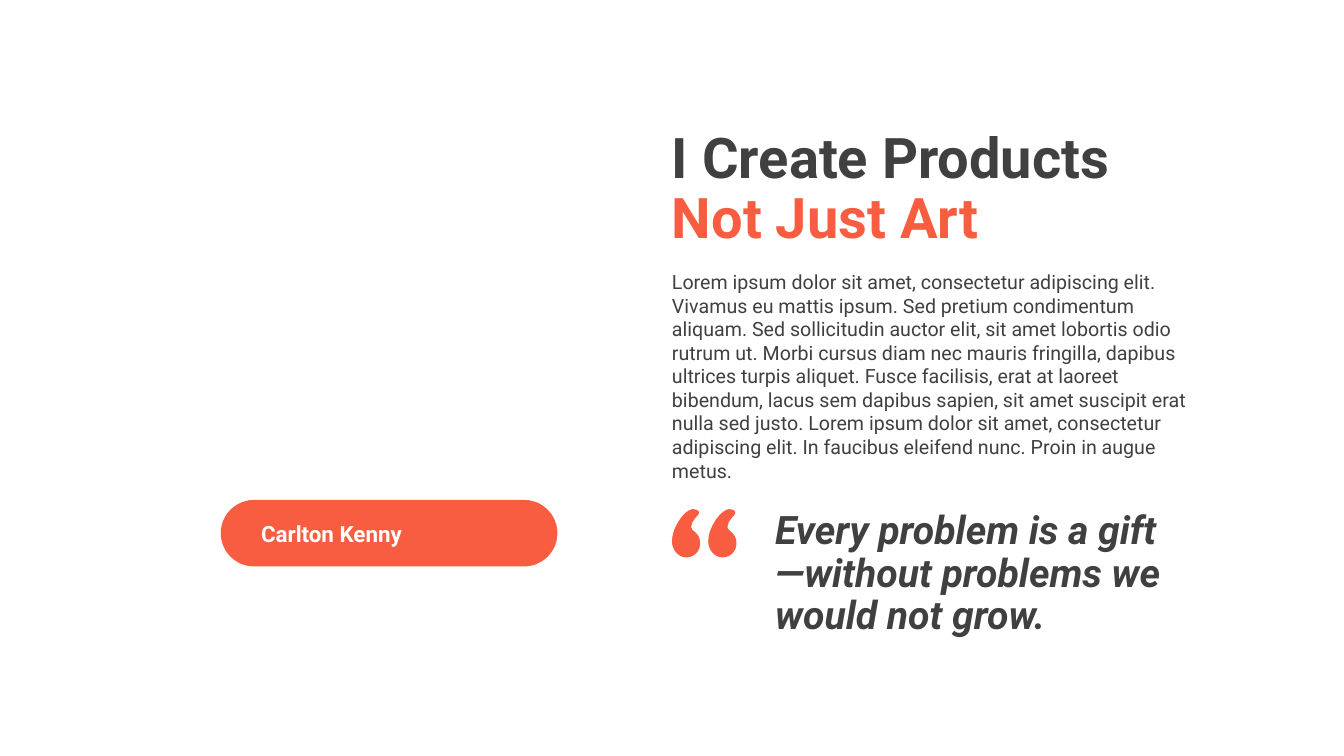
from dataclasses import dataclass

from lxml.etree import SubElement
from pptx import Presentation
from pptx.dml.color import RGBColor as Color
from pptx.enum.shapes import MSO_SHAPE as Shape
from pptx.enum.text import MSO_ANCHOR as Anchor, MSO_AUTO_SIZE as Fit, PP_ALIGN as Align
from pptx.oxml.ns import qn
from pptx.util import Inches, Pt


@dataclass(frozen=True)
class Theme:
    font: str = "Roboto"
    dark: str = "3F403F"
    coral: str = "F95D41"
    white: str = "FFFFFF"
    title: int = 40
    quote: int = 28
    name: int = 16
    body: int = 14


THEME = Theme()
WIDTH = 40 / 3
LEFT = WIDTH / 2
GAP = 0.36
BODY = (
    "Lorem ipsum dolor sit amet, consectetur adipiscing elit. Vivamus eu mattis ipsum. "
    "Sed pretium condimentum aliquam. Sed sollicitudin auctor elit, sit amet lobortis odio "
    "rutrum ut. Morbi cursus diam nec mauris fringilla, dapibus ultrices turpis aliquet. "
    "Fusce facilisis, erat at laoreet bibendum, lacus sem dapibus sapien, sit amet suscipit "
    "erat nulla sed justo. Lorem ipsum dolor sit amet, consectetur adipiscing elit. "
    "In faucibus eleifend nunc. Proin in augue metus."
)
QUOTE = "Every problem is a gift—without problems we would not grow."
START = (0.21, 5.05)
CURVES = [
    (0.23, 5.05), (0.27, 5.06), (0.27, 5.09),
    (0.27, 5.11), (0.19, 5.16), (0.19, 5.23),
    (0.19, 5.27), (0.28, 5.28), (0.28, 5.39),
    (0.28, 5.47), (0.22, 5.53), (0.14, 5.53),
    (0.06, 5.53), (0, 5.45), (0, 5.37),
    (0, 5.23), (0.13, 5.05), START,
]


def place(shape, left, top, width, height):
    shape.left, shape.top = Inches(left), Inches(top)
    shape.width, shape.height = Inches(width), Inches(height)


def add_run(para, text, size, color, bold=False, slant=False):
    run = para.add_run()
    run.text = text
    font = run.font
    font.name, font.size = THEME.font, Pt(size)
    font.bold, font.italic = bold, slant
    font.color.rgb = Color.from_string(color)


def set_frame(shape, anchor=Anchor.TOP, lead=1.0):
    frame = shape.text_frame
    frame.word_wrap = True
    frame.auto_size = Fit.NONE
    frame.vertical_anchor = anchor
    frame.margin_left = frame.margin_right = 0
    frame.margin_top = frame.margin_bottom = 0
    para = frame.paragraphs[0]
    para.alignment = Align.LEFT
    para.line_spacing = lead
    para.space_before = Pt(0)
    return para


def add_text(slide, box, text, size, color, anchor=Anchor.TOP, lead=1.0, slant=False):
    shape = slide.shapes.add_textbox(*map(Inches, box))
    add_run(set_frame(shape, anchor, lead), text, size, color, True, slant)


def paint(shape, color):
    shape.shadow.inherit = False
    shape.fill.solid()
    shape.fill.fore_color.rgb = Color.from_string(color)
    shape.line.fill.background()


def fill_title(slide):
    title = slide.shapes.title
    place(title, LEFT, 1.26, 5.28, 1.23)
    para = set_frame(title, Anchor.BOTTOM, 0.9)
    add_run(para, "I Create Products ", THEME.title, THEME.dark, True)
    para.add_line_break()
    add_run(para, "Not Just Art", THEME.title, THEME.coral, True)


def fill_body(slide):
    body = slide.placeholders[1]
    place(body, LEFT, 2.68, 5.29, 1.86)
    para = set_frame(body)
    props = para._p.get_or_add_pPr()
    props.set("marL", "0")
    props.set("indent", "0")
    SubElement(props, qn("a:buNone"))
    add_run(para, BODY, THEME.body, THEME.dark)


def curve(shape):
    lines = list(shape._element.iter(qn("a:lnTo")))
    for one, two, end in zip(lines[::3], lines[1::3], lines[2::3]):
        bend = one.makeelement(qn("a:cubicBezTo"))
        one.addprevious(bend)
        for line in (one, two, end):
            bend.append(line[0])
            line.getparent().remove(line)


def add_marks(slide):
    pen = slide.shapes.build_freeform(Inches(LEFT + START[0]), Inches(START[1]))
    for left in (LEFT, LEFT + GAP):
        pen.move_to(Inches(left + START[0]), Inches(START[1]))
        points = [(Inches(left + x), Inches(y)) for x, y in CURVES]
        pen.add_line_segments(points)
    marks = pen.convert_to_shape()
    curve(marks)
    paint(marks, THEME.coral)


def add_badge(slide):
    box = map(Inches, (2.19, 4.96, 3.34, 0.66))
    badge = slide.shapes.add_shape(Shape.ROUNDED_RECTANGLE, *box)
    badge.adjustments[0] = 0.5
    paint(badge, THEME.coral)
    add_text(slide, (2.59, 5.13, 2.57, 0.32), "Carlton Kenny",
             THEME.name, THEME.white, Anchor.MIDDLE)


def main():
    deck = Presentation()
    deck.slide_width, deck.slide_height = Inches(WIDTH), Inches(7.5)
    slide = deck.slides.add_slide(deck.slide_layouts[1])
    fill_title(slide)
    fill_body(slide)
    add_marks(slide)
    add_text(slide, (7.69, 5.07, 3.96, 1.23), QUOTE,
             THEME.quote, THEME.dark, lead=0.9, slant=True)
    add_badge(slide)
    deck.save("out.pptx")


if __name__ == "__main__":
    main()
